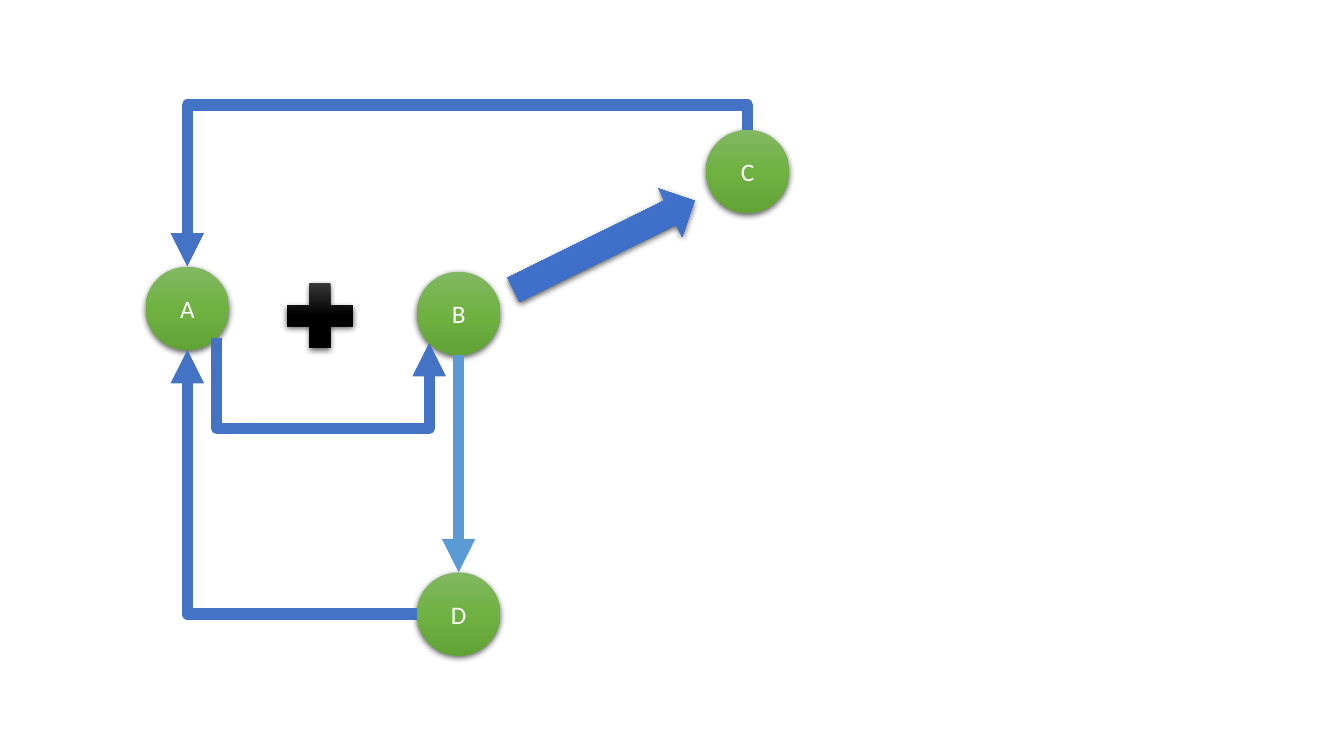
import copy
import math
import pptx
import pptx.util
import pptx.dml.color
import pptx.enum.shapes
import pptx.enum.text
import pptx.oxml
import pptx.oxml.ns

SHAPE = pptx.enum.shapes.MSO_SHAPE
LINK = pptx.enum.shapes.MSO_CONNECTOR
qn = pptx.oxml.ns.qn
NS = pptx.oxml.ns.nsdecls("a")

HUES = {"text": "FFFFFF", "blue": "4472C4", "sky": "5B9BD5"}
FADES = {
    "green": ("81B861", "6FB242", "62A336"),
    "blue": ("6183CB", "3E70CA", "3062BB"),
    "black": ("4B4B4B", "000000", "000000"),
}
SHADE = (f'<a:outerShdw {NS} blurRad="57150" dist="19050" dir="5400000" algn="ctr" '
         'rotWithShape="0"><a:srgbClr val="000000"><a:alpha val="63000"/>'
         '</a:srgbClr></a:outerShdw>')
COLS, ROWS = 16, 9
NODE = 0.99  # node diameter in grid cells


def rgb(hue):
    return pptx.dml.color.RGBColor.from_string(hue)


def write(shape, text, size=18, font="Calibri", hue="text"):
    frame = shape.text_frame
    frame.vertical_anchor = pptx.enum.text.MSO_ANCHOR.MIDDLE
    para = frame.paragraphs[0]
    para.text = text
    para.alignment = pptx.enum.text.PP_ALIGN.CENTER
    para.font.size = pptx.util.Pt(size)
    para.font.name = font
    para.font.color.rgb = rgb(HUES[hue])


class Board:
    """Draws on one slide; points and sizes are in grid columns and rows."""

    def __init__(self, deck):
        self.slide = deck.slides.add_slide(deck.slide_layouts[6])
        self.col = deck.slide_width / COLS
        self.row = deck.slide_height / ROWS

    def spot(self, x, y):
        return round(x * self.col), round(y * self.row)

    def solid(self, kind, mid, size, fade, turn=0):
        """Adds a shaded shape centred on mid."""
        (x, y), (w, h) = mid, size
        shape = self.slide.shapes.add_shape(
            kind, *self.spot(x - w / 2, y - h / 2), *self.spot(w, h))
        shape.rotation = turn
        shape.fill.gradient()
        shape.fill.gradient_angle = 270
        stops = shape.fill.gradient_stops
        first = shape.element.spPr.find(".//" + qn("a:gs"))
        first.addnext(copy.deepcopy(first))
        stops = shape.fill.gradient_stops
        for stop, hue, place in zip(stops, FADES[fade], (0, 0.5, 1)):
            stop.color.rgb = rgb(hue)
            stop.position = place
        shape.line.fill.background()
        shape.shadow.inherit = False
        glow = shape.element.spPr.find(qn("a:effectLst"))
        glow.append(pptx.oxml.parse_xml(SHADE))
        return shape

    def node(self, name, mid):
        write(self.solid(SHAPE.OVAL, mid, (NODE, NODE), "green"), name)

    def link(self, start, end, hue="blue", kind=LINK.STRAIGHT):
        line = self.slide.shapes.add_connector(
            kind, *self.spot(*start), *self.spot(*end))
        line.line.color.rgb = rgb(HUES[hue])
        line.line.width = pptx.util.Pt(8)
        pen = line.line._get_or_add_ln()
        pen.append(pptx.oxml.parse_xml(f'<a:tailEnd {NS} type="triangle"/>'))
        line.element.spPr.append(pptx.oxml.parse_xml(f"<a:effectLst {NS}/>"))
        return line

    def hook(self, start, end, bend):
        """Elbow that leaves and arrives upright, crossing at row bend."""
        line = self.link(start, end, kind=LINK.ELBOW)
        (x0, y0), (x1, y1) = self.spot(*start), self.spot(*end)
        wide, high = abs(x1 - x0), abs(y1 - y0)
        line.left, line.top = (x0 + x1 - high) // 2, (y0 + y1 - wide) // 2
        line.width, line.height = high, wide
        self.turn(line, 270, y1 > y0, x1 < x0)
        share = (bend - start[1]) / (end[1] - start[1])
        guides = line.element.spPr.find(".//" + qn("a:avLst"))
        guides.append(pptx.oxml.parse_xml(
            f'<a:gd {NS} name="adj1" fmla="val {round(share * 100000)}"/>'))

    def corner(self, start, end):
        """Elbow with one bend, going left and then up."""
        line = self.link(start, end, kind=LINK.ELBOW)
        self.turn(line, 180, False, False)
        line.element.spPr.find(qn("a:prstGeom")).set("prst", "bentConnector2")

    def turn(self, line, angle, across, down):
        frame = line.element.spPr.find(qn("a:xfrm"))
        frame.set("rot", str(angle * 60000))
        frame.set("flipH", str(int(across)))
        frame.set("flipV", str(int(down)))


def edge(mid, angle):
    """Point on a node's rim, with the angle clockwise from the right."""
    turn = math.radians(angle)
    return (mid[0] + NODE / 2 * math.cos(turn),
            mid[1] + NODE / 2 * math.sin(turn))


def main():
    deck = pptx.Presentation()
    deck.slide_width = pptx.util.Inches(13.33)
    deck.slide_height = pptx.util.Inches(7.5)
    board = Board(deck)
    nodes = {"A": (2.23, 3.67), "B": (5.46, 3.73),
             "C": (8.9, 2.04), "D": (5.46, 7.31)}
    a, b, c, d = nodes.values()
    for name, mid in nodes.items():
        board.node(name, mid)
    board.solid(SHAPE.RIGHT_ARROW, (7.19, 2.92), (2.4, 0.64), "blue", 333.8)
    board.solid(SHAPE.MATH_PLUS, (3.81, 3.76), (1.07, 1.04), "black")
    board.hook(edge(c, 270), edge(a, 270), 1.25)
    board.corner(edge(d, 180), edge(a, 90))
    board.hook(edge(a, 45), edge(b, 135), 5.1)
    board.link(edge(b, 90), edge(d, 270), "sky")
    deck.save("out.pptx")


if __name__ == "__main__":
    main()
